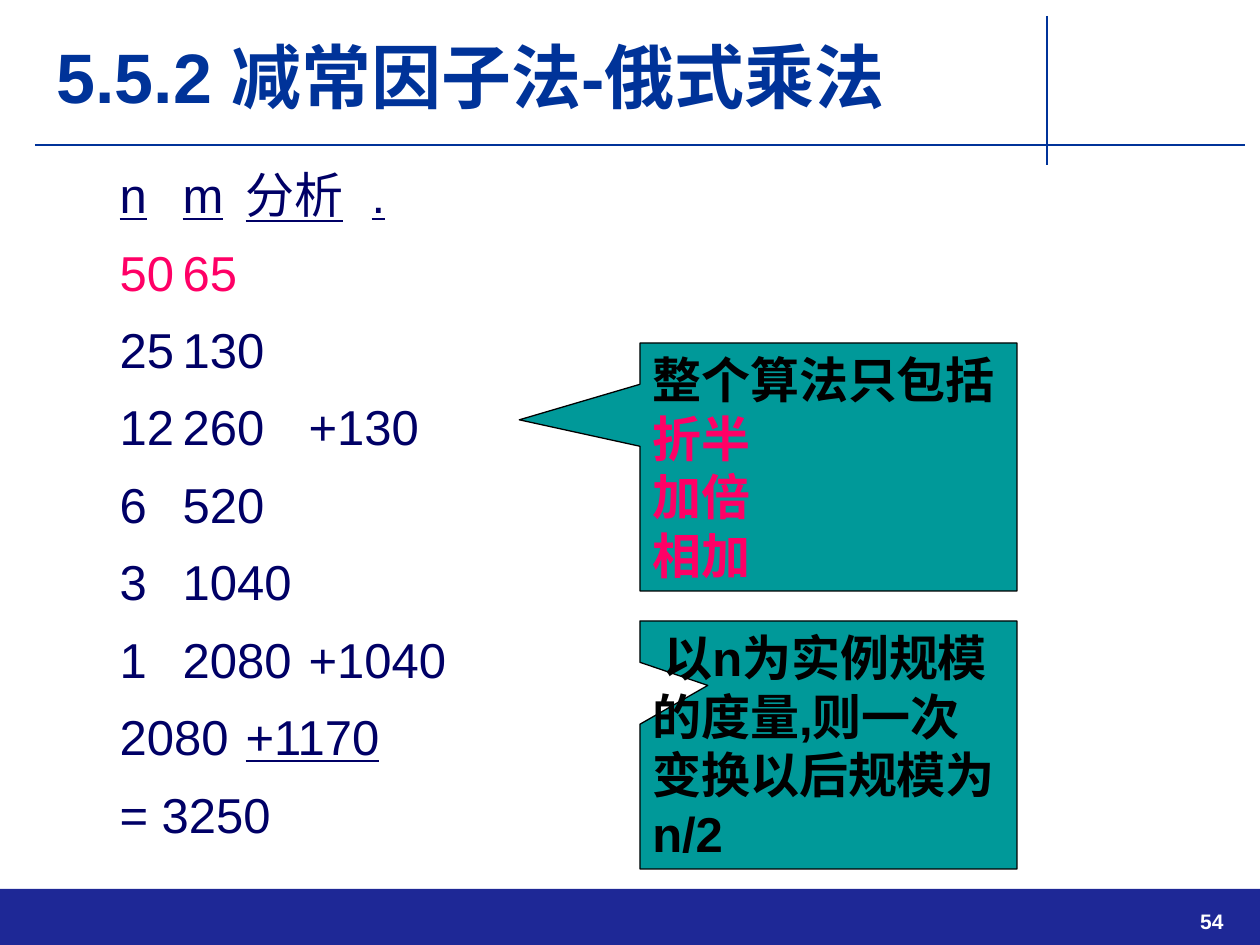
"""Build the slide on Russian peasant multiplication."""
from lxml import etree
from pptx import Presentation, util as u
from pptx.dml.color import RGBColor
from pptx.enum import shapes, text
from pptx.oxml.ns import qn

SCALE = 914400 // 126
NAVY, BLUE, PINK, TEAL, BLACK = "000066", "003399", "FF0066", "009999", "000000"


def rgb(value):
    return RGBColor.from_string(value)


def write(paragraph, words, size, color, bold=False, underline=False):
    run = paragraph.add_run()
    run.text = words
    formats = {"name": "Arial", "size": u.Pt(size), "bold": bold, "underline": underline}
    for key, value in formats.items():
        setattr(run.font, key, value)
    run.font.color.rgb = rgb(color)


deck = Presentation()
deck.slide_width, deck.slide_height = 1260 * SCALE, 945 * SCALE
slide = deck.slides.add_slide(deck.slide_layouts[1])
title, steps = slide.placeholders

footer = slide.shapes.add_shape(shapes.MSO_SHAPE.RECTANGLE, 0, 889 * SCALE, 1260 * SCALE, 56 * SCALE)
footer.shadow.inherit = False
footer.fill.solid()
footer.fill.fore_color.rgb = rgb("1E2896")
footer.line.fill.background()

for ends in [(35, 145, 1245, 145), (1047, 16, 1047, 165)]:
    rule = slide.shapes.add_connector(shapes.MSO_CONNECTOR.STRAIGHT, *[end * SCALE for end in ends])
    rule.line.color.rgb = rgb(BLUE)
    rule.line.width = u.Pt(1.5)
    etree.SubElement(rule._element.spPr, qn("a:effectLst"))

page = slide.shapes.add_textbox(1126 * SCALE, 901 * SCALE, 110 * SCALE, 40 * SCALE)
page.text_frame.vertical_anchor = text.MSO_ANCHOR.MIDDLE
page.text_frame.word_wrap = True
page.text_frame.paragraphs[0].alignment = text.PP_ALIGN.RIGHT
write(page.text_frame.paragraphs[0], "54", 12, "FFFFFF", True)

boxes = [
    (title, (44, 26, 982, 100), text.MSO_ANCHOR.MIDDLE),
    (steps, (44, 165, 1191, 714), text.MSO_ANCHOR.TOP),
]
for holder, box, anchor in boxes:
    holder.left, holder.top, holder.width, holder.height = [side * SCALE for side in box]
    holder.text_frame.vertical_anchor = anchor
    holder.text_frame.auto_size = text.MSO_AUTO_SIZE.NONE

heading = title.text_frame.paragraphs[0]
heading.alignment = text.PP_ALIGN.LEFT
write(heading, "5.5.2 减常因子法-俄式乘法", 40, BLUE, True)

n, m, m_short, m_long = (54, "ctr"), (272, "r"), (258, "r"), (272, "l")
added = (299, "l")
header = [n, m_short, (624, "l"), (909, "l"), (950, "l")]
plain = [n, m, added]
rows = [
    (header, [("\tn\tm\t分析\t.\t", NAVY, True)]),
    ([n, m_short], [("\t50\t65", PINK, False)]),
    (plain, [("\t25\t130", NAVY, False)]),
    (plain, [("\t12\t260\t+130", NAVY, False)]),
    (plain, [("\t6\t520", NAVY, False)]),
    (plain, [("\t3\t1040", NAVY, False)]),
    (plain, [("\t1\t2080\t+1040", NAVY, False)]),
    ([m, added], [("\t2080\t", NAVY, False), ("+1170", NAVY, True)]),
    ([m_long], [("\t= 3250", NAVY, False)]),
]
for index, (stops, pieces) in enumerate(rows):
    frame = steps.text_frame
    row = frame.add_paragraph() if index else frame.paragraphs[0]
    spacing = {"line_spacing": 0.9, "space_before": u.Pt(7), "space_after": u.Pt(7)}
    for key, value in spacing.items():
        setattr(row, key, value)
    props = row._p.get_or_add_pPr()
    props.set("marL", "0")
    props.set("indent", "0")
    etree.SubElement(props, qn("a:buNone"))
    tabs = etree.SubElement(props, qn("a:tabLst"))
    for place, align in stops:
        etree.SubElement(tabs, qn("a:tab"), pos=str(place * SCALE), algn=align)
    for words, color, underline in pieces:
        write(row, words, 28, color, underline=underline)

notes = [
    (343, (-0.82, -0.19), [("整个算法只包括", BLACK), ("折半", PINK), ("加倍", PINK), ("相加", PINK)]),
    (621, (-0.32, -0.24), [(" 以n为实例规模的度量,则一次变换以后规模为n/2", BLACK)]),
]
for top, tip, lines in notes:
    callout = slide.shapes.add_shape(
        shapes.MSO_SHAPE.RECTANGULAR_CALLOUT, 640 * SCALE, top * SCALE, 377 * SCALE, 248 * SCALE)
    callout.adjustments[0], callout.adjustments[1] = tip
    callout.shadow.inherit = False
    callout.fill.solid()
    callout.fill.fore_color.rgb = rgb(TEAL)
    callout.line.color.rgb = rgb(BLACK)
    callout.line.width = u.Pt(0.74)
    frame = callout.text_frame
    frame.word_wrap = True
    frame.vertical_anchor = text.MSO_ANCHOR.TOP
    for index, (words, color) in enumerate(lines):
        line = frame.add_paragraph() if index else frame.paragraphs[0]
        line.alignment = text.PP_ALIGN.LEFT
        write(line, words, 28, color, True)

deck.save("out.pptx")
